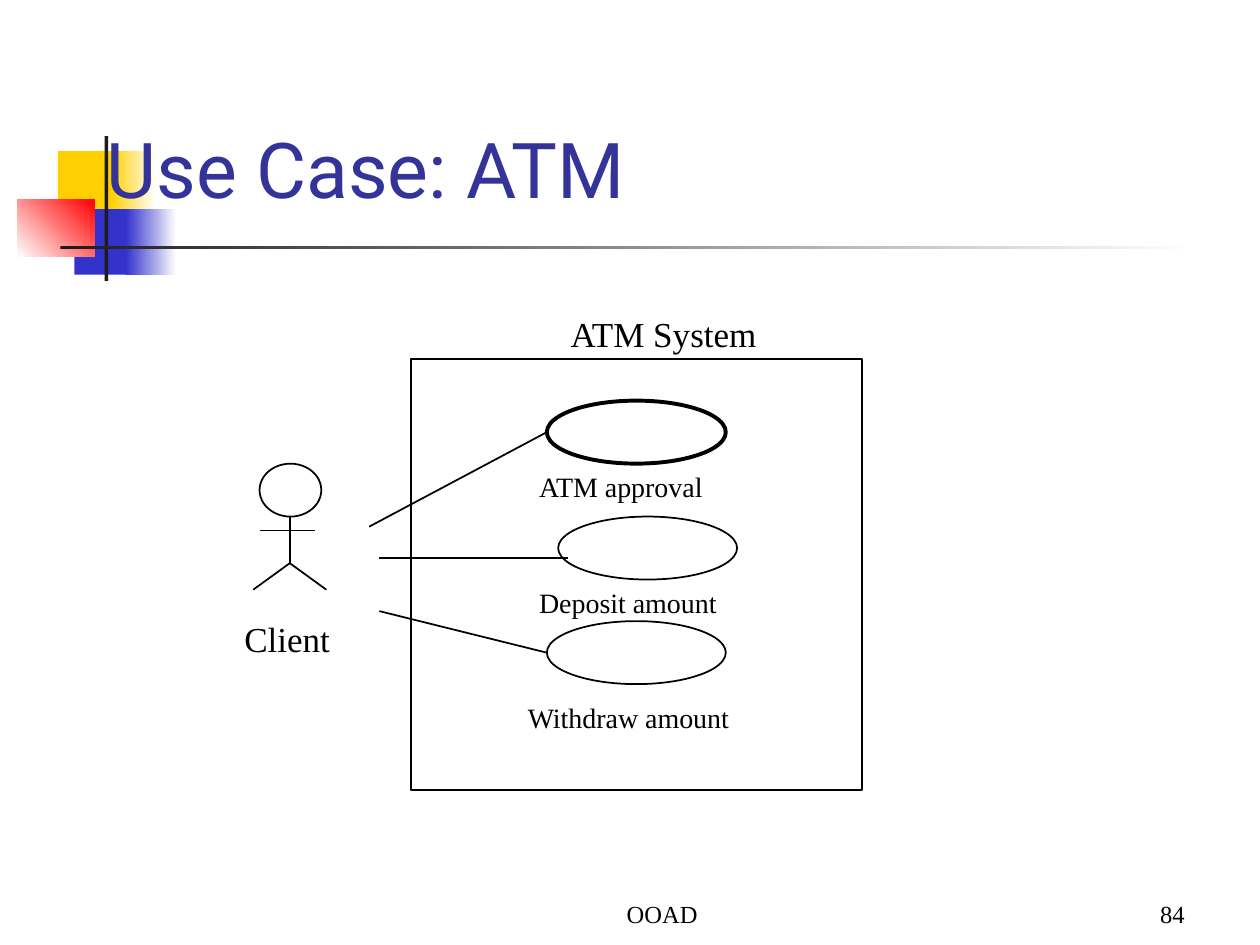
from dataclasses import dataclass

from lxml import etree
from pptx import Presentation
from pptx.dml.color import RGBColor
from pptx.enum.shapes import MSO_CONNECTOR, MSO_SHAPE
from pptx.enum.text import MSO_ANCHOR, MSO_AUTO_SIZE, PP_ALIGN
from pptx.oxml.ns import qn
from pptx.util import Inches, Pt

RECTANGLE, OVAL = MSO_SHAPE.RECTANGLE, MSO_SHAPE.OVAL
STRAIGHT = MSO_CONNECTOR.STRAIGHT
TOP, BOTTOM = MSO_ANCHOR.TOP, MSO_ANCHOR.BOTTOM
LEFT, CENTER, RIGHT = PP_ALIGN.LEFT, PP_ALIGN.CENTER, PP_ALIGN.RIGHT
FIT_SHAPE, NO_FIT = MSO_AUTO_SIZE.SHAPE_TO_FIT_TEXT, MSO_AUTO_SIZE.NONE


@dataclass(frozen=True)
class Theme:
    title_font: str = "Roboto"
    body_font: str = "Times New Roman"
    ink: str = "000000"
    title: str = "333399"
    gold: str = "FFCF01"
    blue: str = "3333CC"
    red: str = "FF0000"
    bar: str = "1C1C1C"
    white: str = "FFFFFF"
    title_size: float = 44
    heading_size: float = 20
    label_size: float = 16
    footer_size: float = 14
    thin: float = 1
    thick: float = 2.25


def write_text(frame, text, *, font, size, color, align=LEFT, anchor=TOP, wrap=True):
    frame.word_wrap = wrap
    frame.auto_size = NO_FIT if wrap else FIT_SHAPE
    frame.vertical_anchor = anchor
    paragraph = frame.paragraphs[0]
    paragraph.alignment = align
    run = paragraph.add_run()
    run.text = text
    run.font.name = font
    run.font.size = Pt(size)
    run.font.color.rgb = RGBColor.from_string(color)


class Sketch:
    def __init__(self, slide, theme):
        self.slide = slide
        self.theme = theme

    def block(self, bounds, color, end_color=None, angle=0):
        block = self.slide.shapes.add_shape(RECTANGLE, *map(Inches, bounds))
        block.shadow.inherit = False
        block.line.fill.background()
        if end_color is None:
            block.fill.solid()
            block.fill.fore_color.rgb = RGBColor.from_string(color)
            return
        block.fill.gradient()
        block.fill.gradient_angle = angle
        for stop, stop_color in zip(block.fill.gradient_stops, (color, end_color)):
            stop.color.rgb = RGBColor.from_string(stop_color)

    def outline(self, kind, bounds, width=None, group=None):
        outline = (group or self.slide).shapes.add_shape(kind, *map(Inches, bounds))
        outline.shadow.inherit = False
        outline.fill.background()
        self.stroke(outline, width or self.theme.thin)

    def line(self, start, end, group=None):
        line = (group or self.slide).shapes.add_connector(
            STRAIGHT, *map(Inches, start + end))
        self.stroke(line, self.theme.thin)
        etree.SubElement(line._element.spPr, qn("a:effectLst"))

    def stroke(self, shape, width):
        shape.line.color.rgb = RGBColor.from_string(self.theme.ink)
        shape.line.width = Pt(width)

    def text(self, bounds, text, size, **style):
        box = self.slide.shapes.add_textbox(*map(Inches, bounds))
        style = {"font": self.theme.body_font, "color": self.theme.ink} | style
        write_text(box.text_frame, text, size=size, **style)

    def actor(self, center, top):
        figure = self.slide.shapes.add_group_shape()
        neck, shoulders, hips, feet = top + 0.42, top + 0.53, top + 0.79, top + 1
        self.outline(OVAL, (center - 0.24, top, 0.49, 0.42), group=figure)
        self.line((center, neck), (center, hips), figure)
        for foot in (center - 0.29, center + 0.29):
            self.line((center, hips), (foot, feet), figure)
        self.line((center - 0.24, shoulders), (center + 0.2, shoulders), figure)


def main():
    theme = Theme()
    deck = Presentation()
    deck.slide_width, deck.slide_height = Inches(10), Inches(7.5)
    sketch = Sketch(deck.slides.add_slide(deck.slide_layouts[6]), theme)

    sketch.block((0.46, 1.2, 0.48, 0.52), theme.gold)
    sketch.block((0.88, 1.2, 0.36, 0.52), theme.gold, theme.white)
    sketch.block((0.59, 1.66, 0.46, 0.52), theme.blue)
    sketch.block((1, 1.66, 0.4, 0.52), theme.blue, theme.white)
    sketch.block((0.14, 1.58, 0.61, 0.46), theme.white, theme.red, angle=45)
    sketch.block((0.83, 1.08, 0.03, 1.15), theme.bar)
    sketch.block((0.48, 1.95, 9, 0.03), theme.bar, theme.white)

    sketch.text((3.67, 6.92, 3.17, 0.5), "OOAD", theme.footer_size,
                align=CENTER, anchor=BOTTOM)
    sketch.text((7.42, 6.92, 2.08, 0.5), "84", theme.footer_size,
                align=RIGHT, anchor=BOTTOM)
    sketch.text((0.75, 0.92, 8.93, 0.83), "Use Case: ATM", theme.title_size,
                font=theme.title_font, color=theme.title, anchor=BOTTOM)

    sketch.actor(2.3, 3.68)
    sketch.text((1.84, 4.85, 0.88, 0.43), "Client", theme.heading_size, wrap=False)

    use_cases = (
        ("ATM approval", (4.34, 3.18), (4.18, 3.68, 1.53), theme.thick),
        ("Deposit amount", (4.43, 4.1), (4.18, 4.6, 1.62), theme.thin),
        ("Withdraw amount", (4.34, 4.93), (4.09, 5.51, 1.82), theme.thin),
    )
    for name, corner, label, width in use_cases:
        sketch.outline(OVAL, corner + (1.42, 0.5), width)
        sketch.text(label + (0.37,), name, theme.label_size, wrap=False)

    sketch.outline(RECTANGLE, (3.26, 2.85, 3.58, 3.42))
    sketch.text((4.43, 2.43, 1.7, 0.43), "ATM System", theme.heading_size, wrap=False)

    associations = (
        ((2.93, 4.18), (4.34, 3.43)),
        ((3.01, 4.43), (4.51, 4.43)),
        ((3.01, 4.85), (4.34, 5.18)),
    )
    for client_end, use_case_end in associations:
        sketch.line(client_end, use_case_end)

    deck.save("out.pptx")


if __name__ == "__main__":
    main()
